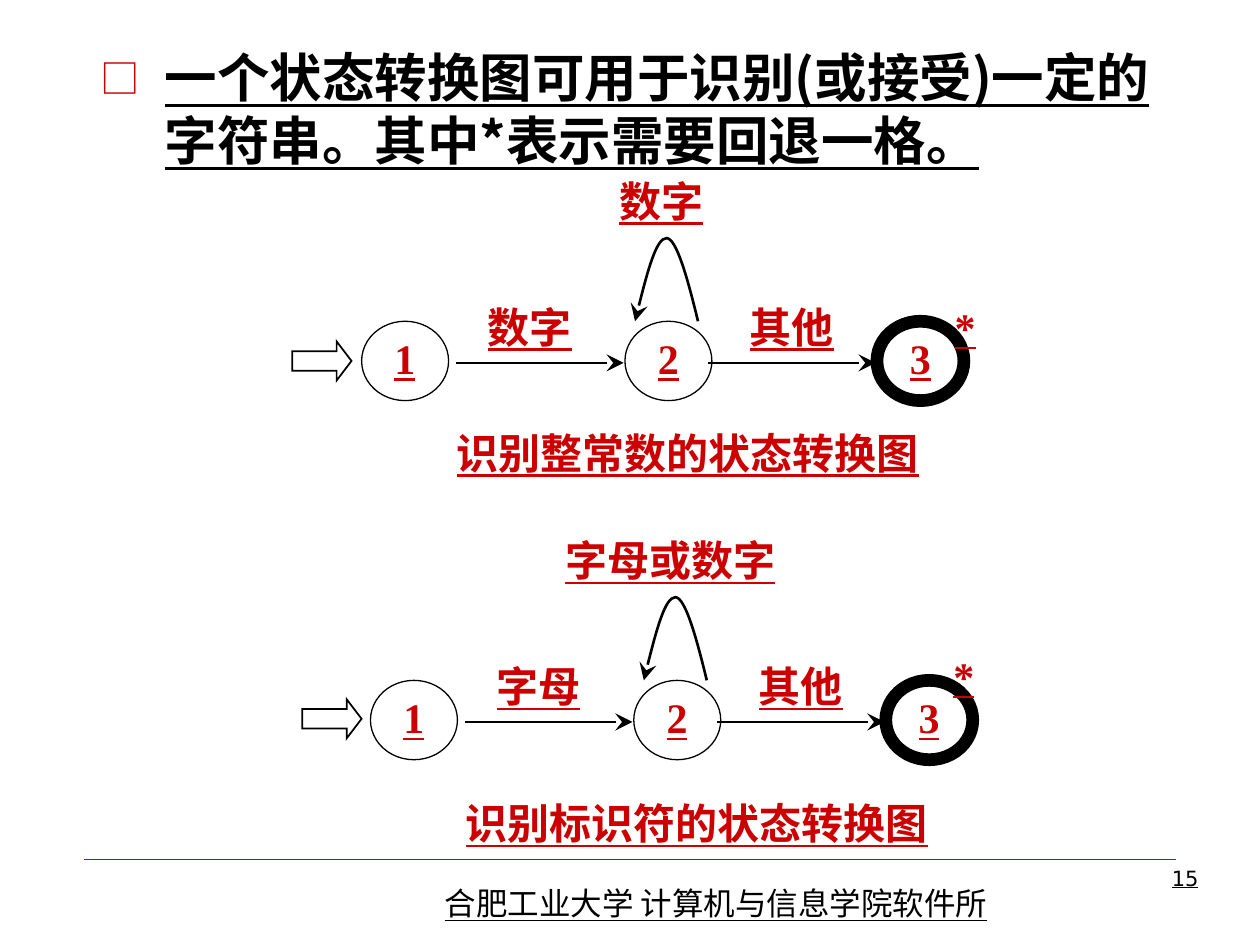
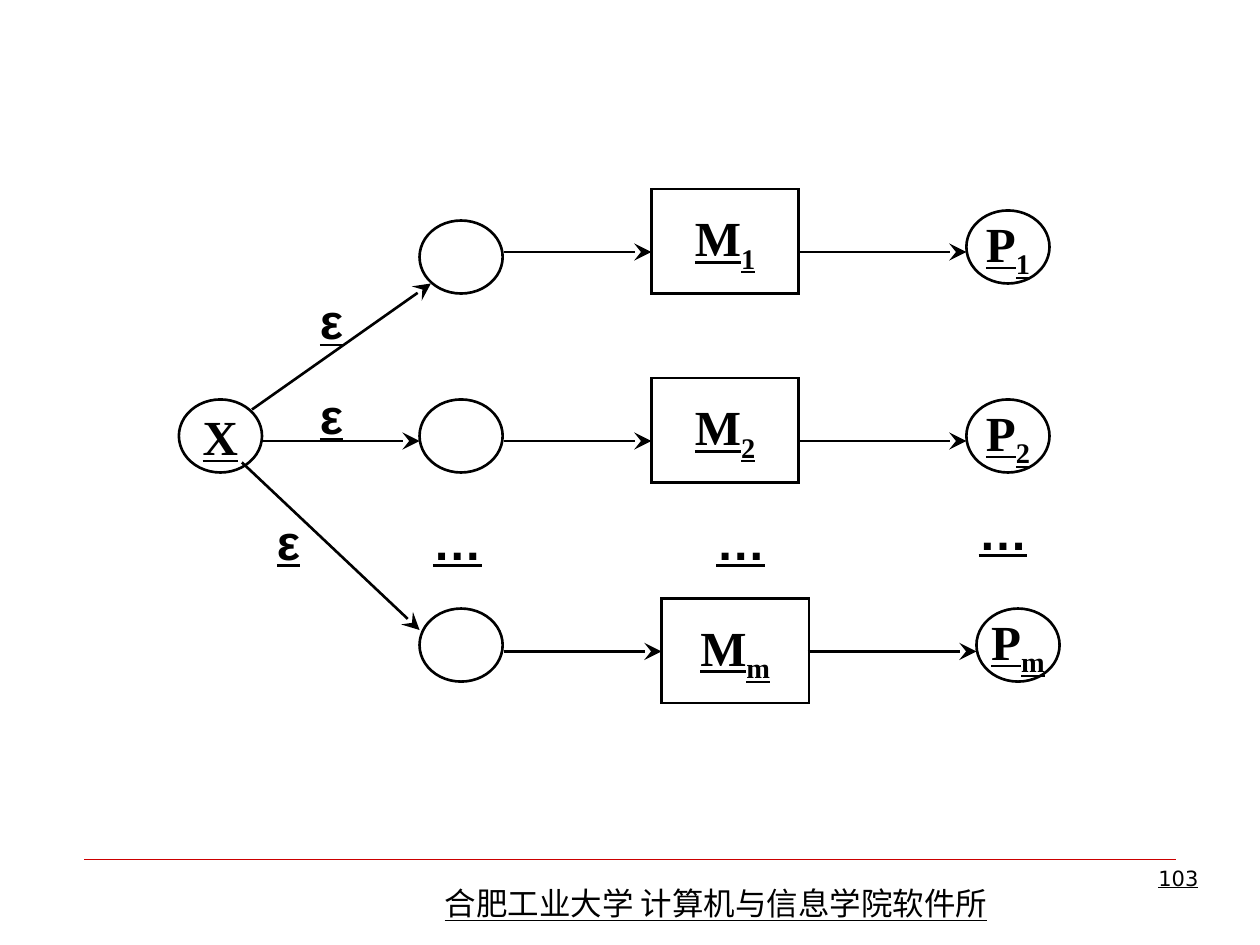
from lxml.etree import SubElement
from pptx import Presentation
from pptx.dml.color import RGBColor
from pptx.enum.shapes import MSO_CONNECTOR, MSO_SHAPE
from pptx.enum.text import MSO_ANCHOR, PP_ALIGN
from pptx.oxml.ns import qn
from pptx.util import Inches, Pt

BLACK = "000000"
RED = "CC0000"
SERIF = "Times New Roman"
CHINESE = "Noto Sans CJK SC"


def write(shape, text, size, font=SERIF, color=BLACK, bold=True, subscript="",
          align=PP_ALIGN.CENTER, anchor=MSO_ANCHOR.MIDDLE, wrap=False):
    """Put underlined text, with an optional subscript, into a shape."""
    frame = shape.text_frame
    frame.word_wrap = wrap
    frame.vertical_anchor = anchor
    paragraph = frame.paragraphs[0]
    paragraph.text = text
    paragraph.alignment = align
    if subscript:
        paragraph.add_run().text = subscript
    for index, run in enumerate(paragraph.runs):
        run.font.name = font
        run.font.size = Pt(size)
        run.font.bold = bold
        run.font.underline = True
        run.font.color.rgb = RGBColor.from_string(color)
        properties = run.font._element
        SubElement(properties, qn("a:ea"), typeface=CHINESE)
        if index:
            properties.set("baseline", "-25000")


def outline(shape, width, color=BLACK, arrow=False):
    """Give a shape or connector a plain line, without fill or shadow."""
    shape.line.color.rgb = RGBColor.from_string(color)
    shape.line.width = Pt(width)
    line = shape.line._get_or_add_ln()
    SubElement(line, qn("a:miter"), lim="800000")
    if arrow:
        SubElement(line, qn("a:tailEnd"), type="stealth", w="lg", len="lg")
    if hasattr(shape, "fill"):
        shape.fill.background()
        shape.shadow.inherit = False
    else:
        SubElement(shape._element.spPr, qn("a:effectLst"))


presentation = Presentation()
presentation.slide_width = Inches(10)
presentation.slide_height = Inches(7.5)

# Shared footer: rule, institute and page number
slides = []
for number in ("15", "103"):
    slide = presentation.slides.add_slide(presentation.slide_layouts[6])
    slides.append(slide)
    rule = slide.shapes.add_connector(
        MSO_CONNECTOR.STRAIGHT, Inches(0.67), Inches(6.82), Inches(9.33), Inches(6.82))
    outline(rule, 0.25, RED)
    institute = slide.shapes.add_textbox(Inches(3.43), Inches(6.97), Inches(4.72), Inches(0.4))
    write(institute, "合肥工业大学 计算机与信息学院软件所", 18, CHINESE, bold=False,
          align=PP_ALIGN.LEFT, anchor=MSO_ANCHOR.TOP, wrap=True)
    page = slide.shapes.add_textbox(Inches(7.44), Inches(6.82), Inches(2.17), Inches(0.52))
    write(page, number, 12, "DejaVu Sans", bold=False,
          align=PP_ALIGN.RIGHT, anchor=MSO_ANCHOR.TOP, wrap=True)

state_slide, branch_slide = slides

# State diagrams: statement with a square bullet
statement = state_slide.shapes.add_textbox(Inches(0.7), Inches(0.31), Inches(8.83), Inches(1.25))
properties = statement.text_frame.paragraphs[0]._p.get_or_add_pPr()
properties.set("marL", str(Inches(0.51)))
properties.set("indent", str(-Inches(0.51)))
bullet_color = SubElement(properties, qn("a:buClr"))
SubElement(bullet_color, qn("a:srgbClr"), val=RED)
SubElement(properties, qn("a:buSzPct"), val="75000")
SubElement(properties, qn("a:buFont"), typeface=CHINESE)
SubElement(properties, qn("a:buChar"), char="□")
write(statement, "一个状态转换图可用于识别(或接受)一定的字符串。其中*表示需要回退一格。", 30, CHINESE,
      align=PP_ALIGN.LEFT, anchor=MSO_ANCHOR.TOP, wrap=True)

# State diagrams: left, top, first label, loop label, caption, caption top, star, entry arrow
diagrams = [
    (2.87, 2.55, "数字", "数字", "识别整常数的状态转换图", 3.3, (7.37, 2.38), (2.32, 2.71)),
    (2.94, 5.4, "字母", "字母或数字", "识别标识符的状态转换图", 6.24, (7.36, 5.15), (2.4, 5.55)),
]
loop_points = [(0.42, 0.33), (0.33, 0), (0.25, 0), (0.17, 0), (0.08, 0.33), (0, 0.66)]
for left, top, first_label, loop_label, caption, caption_top, star, entry in diagrams:
    # States, the last one accepting
    for name, offset, width in (("1", 0, 0.75), ("2", 2.09, 0.75), ("3", 4.09, 7.25)):
        state = state_slide.shapes.add_shape(
            MSO_SHAPE.OVAL, Inches(left + offset), Inches(top), Inches(0.69), Inches(0.63))
        outline(state, width)
        frame = state.text_frame
        frame.margin_left = frame.margin_right = Inches(0.16)
        frame.margin_top = frame.margin_bottom = 0
        write(state, name, 24, color=RED, align=PP_ALIGN.LEFT, anchor=MSO_ANCHOR.TOP, wrap=True)

    # Loop on state 2, its points turned into two Bezier segments
    loop_left, loop_top = left + 2.17, top - 0.66
    builder = state_slide.shapes.build_freeform(Inches(loop_left + 0.5), Inches(loop_top + 0.66))
    builder.add_line_segments(
        [(Inches(loop_left + x), Inches(loop_top + y)) for x, y in loop_points], close=False)
    loop = builder.convert_to_shape()
    outline(loop, 1.5, arrow=True)
    route = loop._element.find(".//" + qn("a:path"))
    segments = route.findall(qn("a:lnTo"))
    for start in (0, 3):
        curve = SubElement(route, qn("a:cubicBezTo"))
        for segment in segments[start:start + 3]:
            curve.append(segment[0])
            route.remove(segment)

    # Transitions
    for offset in (0.75, 2.75):
        transition = state_slide.shapes.add_connector(
            MSO_CONNECTOR.STRAIGHT, Inches(left + offset), Inches(top + 0.33),
            Inches(left + offset + 1.33), Inches(top + 0.33))
        outline(transition, 1.5, arrow=True)

    # Labels
    labels = [
        (first_label, left + 0.92, top - 0.25, 0.83, 0.58),
        ("其他", left + 3, top - 0.25, 0.83, 0.58),
        (loop_label, left + 1.59, top - 1.25, 1.58, 0.58),
        (caption, left + 0.84, caption_top, 3.5, 0.58),
        ("*", *star, 0.58, 0.42),
    ]
    for text, *box in labels:
        label = state_slide.shapes.add_textbox(*map(Inches, box))
        label.text_frame.margin_left = label.text_frame.margin_right = Inches(-0.1)
        write(label, text, 24, color=RED)

    # Entry arrow
    arrow = state_slide.shapes.add_shape(
        MSO_SHAPE.RIGHT_ARROW, *map(Inches, entry), Inches(0.47), Inches(0.31))
    arrow.adjustments[1] = 0.38
    outline(arrow, 1)

# Branches: start node
nodes = [(MSO_SHAPE.OVAL, "X", "", 1.42, 3.17)]
arrows = [(2, 3.25, 3.42, 2.25), (2.08, 3.5, 3.33, 3.5), (1.92, 3.67, 3.33, 5)]

# Branches: subscript, arrow height, state top, machine top, result top, shift to the right
branches = [
    ("1", 2, 1.75, 1.5, 1.67, 0),
    ("2", 3.5, 3.17, 3, 3.17, 0),
    ("m", 5.17, 4.83, 4.75, 4.83, 0.08),
]
for subscript, middle, state_top, machine_top, result_top, shift in branches:
    nodes += [
        (MSO_SHAPE.OVAL, "", "", 3.33, state_top),
        (MSO_SHAPE.RECTANGLE, "M", subscript, 5.17 + shift, machine_top),
        (MSO_SHAPE.OVAL, "P", subscript, 7.67 + shift, result_top),
    ]
    arrows += [
        (4, middle, 5.17 + shift, middle),
        (6.33 + shift, middle, 7.67 + shift, middle),
    ]

for kind, text, subscript, left, top in nodes:
    size = (0.66, 0.58) if kind == MSO_SHAPE.OVAL else (1.17, 0.83)
    node = branch_slide.shapes.add_shape(kind, Inches(left), Inches(top), *map(Inches, size))
    outline(node, 1.5)
    if text:
        write(node, text, 28, subscript=subscript)

for ends in arrows:
    connector = branch_slide.shapes.add_connector(MSO_CONNECTOR.STRAIGHT, *map(Inches, ends))
    outline(connector, 1.5, arrow=True)

# Branches: empty moves and omitted rows
marks = [("ε", 2.17, 2.25), ("ε", 2.17, 3), ("ε", 1.83, 4),
         ("…", 3.17, 4), ("…", 5.42, 4), ("…", 7.5, 3.92)]
for text, left, top in marks:
    mark = branch_slide.shapes.add_textbox(Inches(left), Inches(top), Inches(0.92), Inches(0.58))
    write(mark, text, 28, "Arial")

presentation.save("out.pptx")
